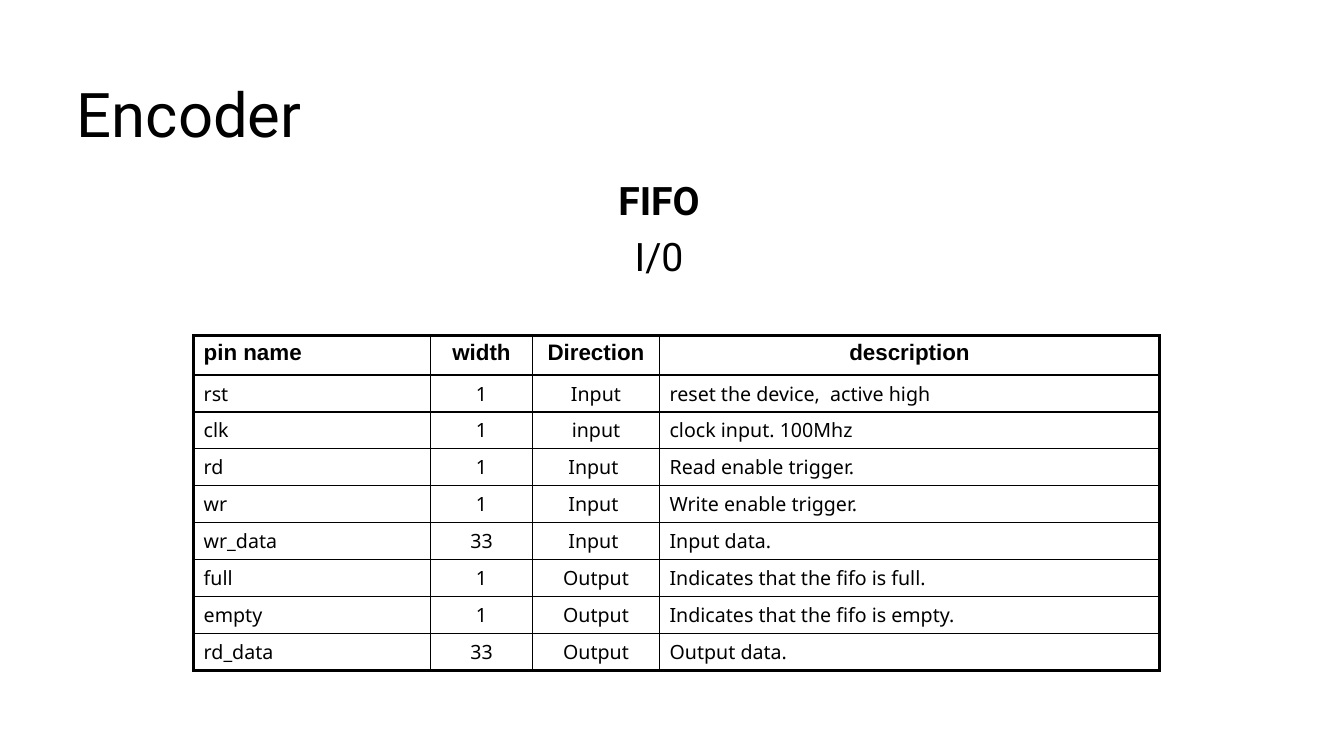
from pptx import Presentation
from pptx.dml.color import RGBColor as RGB
from pptx.enum.text import MSO_ANCHOR as Anchor, PP_ALIGN as Align
from pptx.oxml import parse_xml
from pptx.oxml.ns import nsdecls
from pptx.util import Cm, Pt

INK = "000000"
THIN, THICK = 1, 2.25
COLS = [5.97, 2.57, 3.2, 12.6]
HEAD, ROW = 0.99, 0.93
PINS = [
    ("pin name", "width", "Direction", "description"),
    ("rst", "1", "Input", "reset the device,  active high"),
    ("clk", "1", "input", "clock input. 100Mhz"),
    ("rd", "1", "Input ", "Read enable trigger."),
    ("wr", "1", "Input ", "Write enable trigger."),
    ("wr_data", "33", "Input ", "Input data."),
    ("full", "1", "Output", "Indicates that the fifo is full."),
    ("empty", "1", "Output", "Indicates that the fifo is empty."),
    ("rd_data", "33", "Output", "Output data."),
]


def paint(font, tint):
    """Colour a font from a hex string."""
    font.color.rgb = RGB.from_string(tint)


def style(para, face, size, bold=False, align=Align.LEFT):
    """Format a paragraph and its runs."""
    para.alignment = align
    for run in para.runs:
        run.font.name = face
        run.font.size = Pt(size)
        run.font.bold = bold
        paint(run.font, INK)


def add_text(slide, box, lines, size, align=Align.LEFT, anchor=Anchor.TOP):
    """Add a text box with one paragraph per (text, bold) line."""
    frame = slide.shapes.add_textbox(*map(Cm, box)).text_frame
    frame.word_wrap = True
    frame.vertical_anchor = anchor
    frame.text = "\n".join(text for text, _ in lines)
    for i, (para, (_, bold)) in enumerate(zip(frame.paragraphs, lines)):
        style(para, "Roboto", size, bold, align)
        para.line_spacing = 0.9
        para.space_before = Pt(10 if i else 0)


def add_edge(cell, side, width):
    """Draw one border of a cell; side is L, R, T or B."""
    cell._tc.get_or_add_tcPr().append(parse_xml(
        f'<a:ln{side} {nsdecls("a")} w="{Pt(width)}"><a:solidFill>'
        f'<a:srgbClr val="{INK}"/></a:solidFill></a:ln{side}>'))


def fill_cell(cell, text, row, col):
    """Write a pin cell with thick borders on the table's outside."""
    last = len(COLS) - 1
    head = row == 0
    outer = {"L": col == 0, "R": col == last,
             "T": head, "B": row == len(PINS) - 1}
    for side, edge in outer.items():
        add_edge(cell, side, THICK if edge else THIN)
    cell.fill.background()
    cell.text = text
    mid = col in (1, 2) or (head and col == last)
    face, size = ("Arial", 16) if head else ("Noto Sans", 14)
    style(cell.text_frame.paragraphs[0], face, size, head,
          Align.CENTER if mid else Align.LEFT)


def add_pins(slide, left, top):
    """Add the table of FIFO pins."""
    high = HEAD + ROW * (len(PINS) - 1)
    grid = slide.shapes.add_table(len(PINS), len(COLS), Cm(left), Cm(top),
                                  Cm(sum(COLS)), Cm(high)).table
    grid.horz_banding = False
    for col, wide in zip(grid.columns, COLS):
        col.width = Cm(wide)
    for r, pin in enumerate(PINS):
        grid.rows[r].height = Cm(ROW if r else HEAD)
        for c, text in enumerate(pin):
            fill_cell(grid.cell(r, c), text, r, c)


def main():
    """Build the encoder slide."""
    deck = Presentation()
    deck.slide_width, deck.slide_height = Cm(33.87), Cm(19.05)
    slide = deck.slides.add_slide(deck.slide_layouts[6])
    add_text(slide, (1.69, 1.06, 30.48, 3.81), [("Encoder", False)], 44,
             anchor=Anchor.MIDDLE)
    add_text(slide, (5.08, 4.45, 23.06, 3.18),
             [("FIFO", True), ("I/0", False)], 28, Align.CENTER)
    add_pins(slide, 4.88, 8.46)
    deck.save("out.pptx")


if __name__ == "__main__":
    main()
